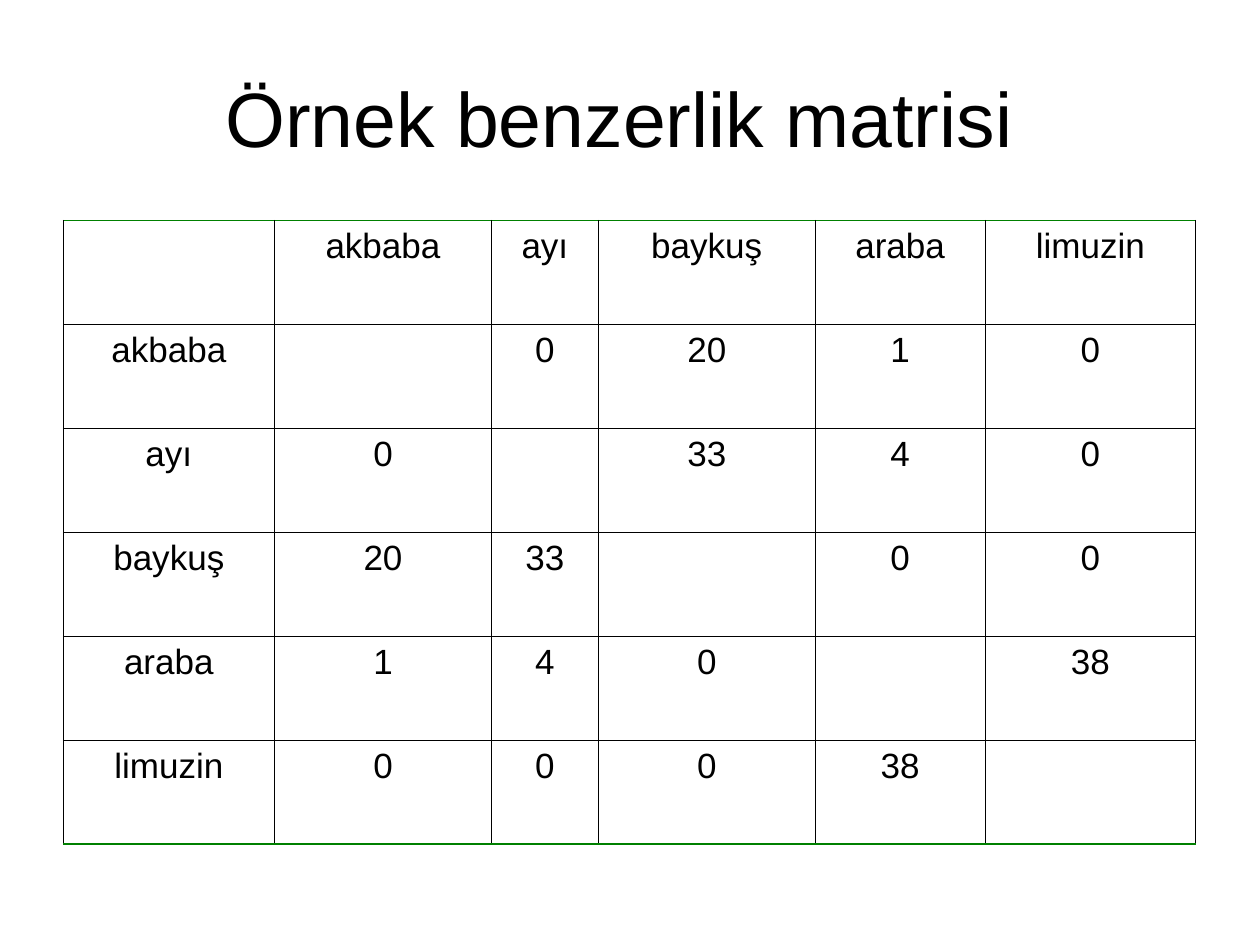
import pptx
import pptx.dml.color
import pptx.enum.text
import pptx.oxml.ns
import pptx.util
from lxml import etree

SLIDE_WIDTH, SLIDE_HEIGHT = 10, 7.5
MARGIN = SLIDE_WIDTH / 20
CONTENT_WIDTH = SLIDE_WIDTH - 2 * MARGIN
FONT = "Arial"
BLACK, GREEN = "000000", "008000"

WORDS = ["akbaba", "ayı", "baykuş", "araba", "limuzin"]
# Similarities above the diagonal; the matrix is symmetric
UPPER_TRIANGLE = [[0, 20, 1, 0], [33, 4, 0], [0, 0], [38]]
COLUMN_WIDTHS = [1.68, 1.72, 0.85, 1.72, 1.35, 1.67]
TABLE_TOP, TABLE_HEIGHT = 1.75, 4.95
HANGING_INDENT = 0.38


def color(hex_string):
    return pptx.dml.color.RGBColor.from_string(hex_string)


def format_paragraph(paragraph, size):
    paragraph.alignment = pptx.enum.text.PP_ALIGN.CENTER
    paragraph.font.name = FONT
    paragraph.font.size = pptx.util.Pt(size)
    paragraph.font.color.rgb = color(BLACK)


def add_title(slide, text):
    title = slide.shapes.title
    title.left, title.top = pptx.util.Inches(MARGIN), pptx.util.Inches(0.3)
    title.width, title.height = pptx.util.Inches(CONTENT_WIDTH), pptx.util.Inches(1.25)
    title.text_frame.text = text
    title.text_frame.vertical_anchor = pptx.enum.text.MSO_ANCHOR.MIDDLE
    format_paragraph(title.text_frame.paragraphs[0], 44)


def matrix_rows():
    """Header row, then one labelled row per word with an empty diagonal."""
    size = len(WORDS)
    values = [[""] * size for _ in WORDS]
    for i, similarities in enumerate(UPPER_TRIANGLE):
        for j, similarity in enumerate(similarities, start=i + 1):
            values[i][j] = values[j][i] = str(similarity)
    return [["", *WORDS]] + [[word, *row] for word, row in zip(WORDS, values)]


def set_border(cell, side, hex_string, width):
    properties = cell._tc.get_or_add_tcPr()
    line = etree.SubElement(properties, pptx.oxml.ns.qn(f"a:ln{side}"),
                            w=str(int(pptx.util.Pt(width))))
    fill = etree.SubElement(line, pptx.oxml.ns.qn("a:solidFill"))
    etree.SubElement(fill, pptx.oxml.ns.qn("a:srgbClr"), val=hex_string)


def format_cell(cell, text, green_sides):
    # Borders come before the fill in the cell properties
    for side in "LRTB":
        if side in green_sides:
            set_border(cell, side, GREEN, 0.96)
        else:
            set_border(cell, side, BLACK, 0.34)
    cell.fill.background()
    cell.text = text
    paragraph = cell.text_frame.paragraphs[0]
    format_paragraph(paragraph, 20)
    indent = pptx.util.Inches(HANGING_INDENT)
    paragraph_properties = paragraph._p.get_or_add_pPr()
    paragraph_properties.set("marL", str(indent))
    paragraph_properties.set("indent", str(-indent))


def add_matrix(slide, rows):
    table = slide.shapes.add_table(
        len(rows), len(rows[0]),
        pptx.util.Inches(MARGIN), pptx.util.Inches(TABLE_TOP),
        pptx.util.Inches(CONTENT_WIDTH), pptx.util.Inches(TABLE_HEIGHT)).table
    table.first_row = table.horz_banding = False
    for column, width in zip(table.columns, COLUMN_WIDTHS):
        column.width = pptx.util.Inches(width)
    # Green lines close the table at its top and bottom
    green_sides = {0: "T", len(rows) - 1: "B"}
    for i, row in enumerate(rows):
        for j, text in enumerate(row):
            format_cell(table.cell(i, j), text, green_sides.get(i, ""))


def main():
    presentation = pptx.Presentation()
    presentation.slide_width = pptx.util.Inches(SLIDE_WIDTH)
    presentation.slide_height = pptx.util.Inches(SLIDE_HEIGHT)
    slide = presentation.slides.add_slide(presentation.slide_layouts[5])
    slide.background.fill.solid()
    slide.background.fill.fore_color.rgb = color("FFFFFF")
    add_title(slide, "Örnek benzerlik matrisi ")
    add_matrix(slide, matrix_rows())
    presentation.save("out.pptx")


if __name__ == "__main__":
    main()
